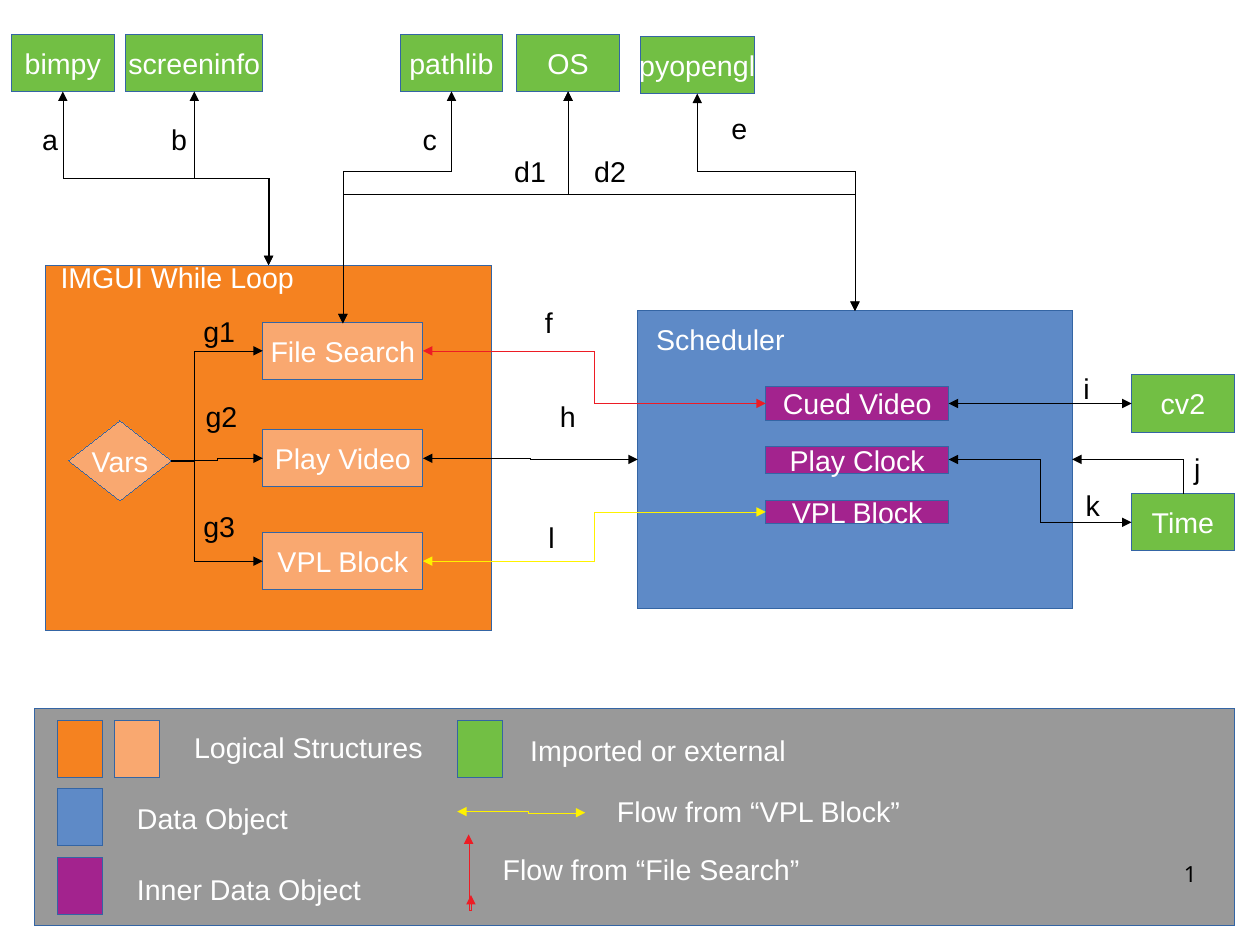
from pptx import Presentation
from pptx.dml.color import RGBColor
from pptx.enum.shapes import MSO_CONNECTOR as Link, MSO_SHAPE as Geom
from pptx.enum.text import MSO_ANCHOR as Anchor, PP_ALIGN as Align
from pptx.oxml.ns import qn
from pptx.util import Inches, Pt
from lxml.etree import SubElement

ORANGE, PEACH, BLUE, PURPLE = "F58220", "F9A870", "5E8AC7", "A3238E"
GREEN, GRAY, EDGE = "72BF44", "999999", "3465A4"
BLACK, WHITE, RED, YELLOW = "000000", "FFFFFF", "ED1C24", "FFF200"
PAD = {"margin_left": Inches(0.1), "margin_right": Inches(0.1),
       "margin_top": Inches(0.05), "margin_bottom": Inches(0.05)}
BARE = dict.fromkeys(PAD, 0)
INBOX = {**PAD, "word_wrap": False, "vertical_anchor": Anchor.MIDDLE}
LABEL = {**PAD, "word_wrap": True, "vertical_anchor": Anchor.TOP}
FONT = {"name": "Arial", "size": Pt(18)}

BOXES = [
    ("File Search", 2.3, 2.82, 1.4, 0.5, PEACH),
    ("Play Video", 2.3, 3.76, 1.4, 0.5, PEACH),
    ("VPL Block", 2.3, 4.66, 1.4, 0.5, PEACH),
    ("Play Clock", 6.7, 3.91, 1.6, 0.23, PURPLE),
    ("VPL Block", 6.7, 4.38, 1.6, 0.2, PURPLE),
    ("bimpy", 0.1, 0.3, 0.9, 0.5, GREEN),
    ("screeninfo", 1.1, 0.3, 1.2, 0.5, GREEN),
    ("pathlib", 3.5, 0.3, 0.9, 0.5, GREEN),
    ("OS", 4.52, 0.3, 0.9, 0.5, GREEN),
    ("pyopengl", 5.6, 0.32, 1, 0.5, GREEN),
    ("Time", 9.9, 4.32, 0.9, 0.5, GREEN),
]
PANELS = [
    ("IMGUI While Loop", 0.4, 2.32, 3.9, 3.2, ORANGE, 0.13, -0.05),
    ("Scheduler", 5.58, 2.72, 3.8, 2.6, BLUE, 0.16, 0.1),
]
KEYS = [(0.5, 6.3, ORANGE), (1, 6.3, PEACH), (0.5, 6.9, BLUE),
        (0.5, 7.5, PURPLE), (4, 6.3, GREEN)]
TITLES = [
    ("Logical Structures", 1.6, 6.34, 2.4), ("Data Object", 1.1, 6.96, 1.6),
    ("Inner Data Object", 1.1, 7.58, 2.4),
    ("Imported or external", 4.54, 6.36, 2.46),
    ("Flow from “VPL Block”", 5.3, 6.9, 2.76),
    ("Flow from “File Search”", 4.3, 7.4, 3),
]
MARKS = [
    ("a", 0.27, 1.02), ("b", 1.4, 1.02), ("c", 3.6, 1.02),
    ("d1", 4.4, 1.3), ("d2", 5.1, 1.3), ("e", 6.3, 0.92),
    ("f", 4.67, 2.62), ("g1", 1.68, 2.7), ("g2", 1.7, 3.44),
    ("g3", 1.68, 4.4), ("h", 4.8, 3.44), ("i", 9.38, 3.2),
    ("j", 10.35, 3.9), ("k", 9.4, 4.22), ("l", 4.7, 4.5),
]
DOWN = [
    ((0.55, 0.8), (2.35, 2.32), 1.56, BLACK),
    ((1.7, 0.8), (2.35, 2.32), 1.56, BLACK),
    ((3.95, 0.8), (3, 2.83), 1.5, BLACK),
    ((4.97, 0.8), (3, 2.83), 1.7, BLACK),
    ((4.97, 0.8), (7.48, 2.72), 1.7, BLACK),
    ((6.1, 0.82), (7.48, 2.72), 1.5, BLACK),
    ((4.1, 7.3), (4.12, 7.83), 7.96, RED),
]
ACROSS = [
    ((3.7, 3.07), (6.7, 3.53), 5.2, RED),
    ((3.7, 4.01), (5.58, 4.02), 4.64, BLACK),
    ((3.7, 4.91), (6.7, 4.48), 5.2, YELLOW),
    ((8.3, 4.02), (9.9, 4.57), 9.1, BLACK),
    ((4, 7.1), (5.12, 7.11), 4.62, YELLOW),
]
VARS = [((2.3, 3.07), 1.7), ((2.3, 4.01), 1.9), ((2.3, 4.91), 1.7)]


def rgb(code):
    return RGBColor.from_string(code)


def apply(item, form):
    for key, value in form.items():
        setattr(item, key, value)


def write(shape, text, color, frame, align=Align.LEFT, font=FONT):
    apply(shape.text_frame, frame)
    para = shape.text_frame.paragraphs[0]
    para.alignment = align
    run = para.add_run()
    run.text = text
    apply(run.font, font)
    run.font.color.rgb = rgb(color)


def stroke(shape, color):
    shape.line.color.rgb = rgb(color)
    edge = shape._element.spPr.find(qn("a:ln"))
    edge.set("w", "0")
    return edge


def box(slide, text, x, y, w, h, fill, geom=Geom.FLOWCHART_PROCESS):
    shape = slide.shapes.add_shape(geom, *map(Inches, (x, y, w, h)))
    shape.shadow.inherit = False
    shape.fill.solid()
    shape.fill.fore_color.rgb = rgb(fill)
    stroke(shape, EDGE)
    if text:
        write(shape, text, WHITE, INBOX, Align.CENTER)
    return shape


def panel(slide, text, x, y, w, h, fill, left, top):
    shape = box(slide, "", x, y, w, h, fill)
    form = {**LABEL, "margin_left": Inches(left), "margin_top": Inches(top)}
    write(shape, text, WHITE, form)


def label(slide, text, x, y, w, color):
    area = slide.shapes.add_textbox(*map(Inches, (x, y, w, 0.38)))
    write(area, text, color, LABEL)


def arrow(slide, kind, start, end, color, ends):
    line = slide.shapes.add_connector(kind, *map(Inches, (*start, *end)))
    edge = stroke(line, color)
    for tip in ends:
        SubElement(edge, qn("a:" + tip), type="triangle")
    SubElement(line._element.spPr, qn("a:effectLst"))
    return line


def elbow(slide, start, end, bend, color, ends=("headEnd", "tailEnd"),
          upright=False):
    axis = 1 if upright else 0
    first, last = start, end
    if upright:
        (x1, y1), (x2, y2) = start, end
        mid, level = (x1 + x2) / 2, (y1 + y2) / 2
        half, rise = abs(y2 - y1) / 2, abs(x2 - x1) / 2
        if (x2 > x1) == (y2 > y1):
            rise = -rise
        first, last = (mid - half, level - rise), (mid + half, level + rise)
    line = arrow(slide, Link.ELBOW, first, last, color, ends)
    props = line._element.spPr
    if upright:
        turn = 90 if end[1] > start[1] else 270
        props.find(qn("a:xfrm")).set("rot", str(turn * 60000))
    geom = props.find(qn("a:prstGeom"))
    if bend is None:
        geom.set("prst", "bentConnector2")
        return
    ratio = (bend - start[axis]) / (end[axis] - start[axis])
    guides = geom.find(qn("a:avLst"))
    if guides is None:
        guides = SubElement(geom, qn("a:avLst"))
    SubElement(guides, qn("a:gd"), name="adj1",
               fmla=f"val {round(ratio * 100000)}")


def main():
    deck = Presentation()
    deck.slide_width = Inches(28 / 2.54)
    deck.slide_height = Inches(21 / 2.54)
    slide = deck.slides.add_slide(deck.slide_layouts[6])

    for item in PANELS:
        panel(slide, *item)
    box(slide, "", 0.3, 6.2, 10.5, 1.9, GRAY, Geom.RECTANGLE)
    for item in BOXES:
        box(slide, *item)
    box(slide, "Vars", 0.6, 3.68, 0.9, 0.7, PEACH, Geom.FLOWCHART_DECISION)
    cued = box(slide, "Cued Video", 6.7, 3.38, 1.6, 0.3, PURPLE)
    vision = box(slide, "cv2", 9.9, 3.28, 0.9, 0.5, GREEN)
    for x, y, fill in KEYS:
        box(slide, "", x, y, 0.4, 0.5, fill)

    for start, end, bend, color in DOWN:
        elbow(slide, start, end, bend, color, upright=True)
    for item in ACROSS:
        elbow(slide, *item)
    for end, bend in VARS:
        elbow(slide, (1.5, 4.03), end, bend, BLACK, ["tailEnd"])
    elbow(slide, (10.35, 4.32), (9.38, 4.02), None, BLACK, ["tailEnd"], True)
    line = arrow(slide, Link.STRAIGHT, (8.3, 3.53), (9.9, 3.53), BLACK,
                 ["headEnd", "tailEnd"])
    line.begin_connect(cued, 3)
    line.end_connect(vision, 1)

    for item in TITLES:
        label(slide, *item, WHITE)
    for text, x, y in MARKS:
        label(slide, text, x, y, 0.3 if len(text) == 1 else 0.52, BLACK)
    page = slide.shapes.add_textbox(*map(Inches, (7.9, 7.53, 2.57, 0.57)))
    write(page, "1", BLACK, {**BARE, "word_wrap": True}, Align.RIGHT,
          {"name": "Noto Sans", "size": Pt(14)})
    deck.save("out.pptx")


if __name__ == "__main__":
    main()
